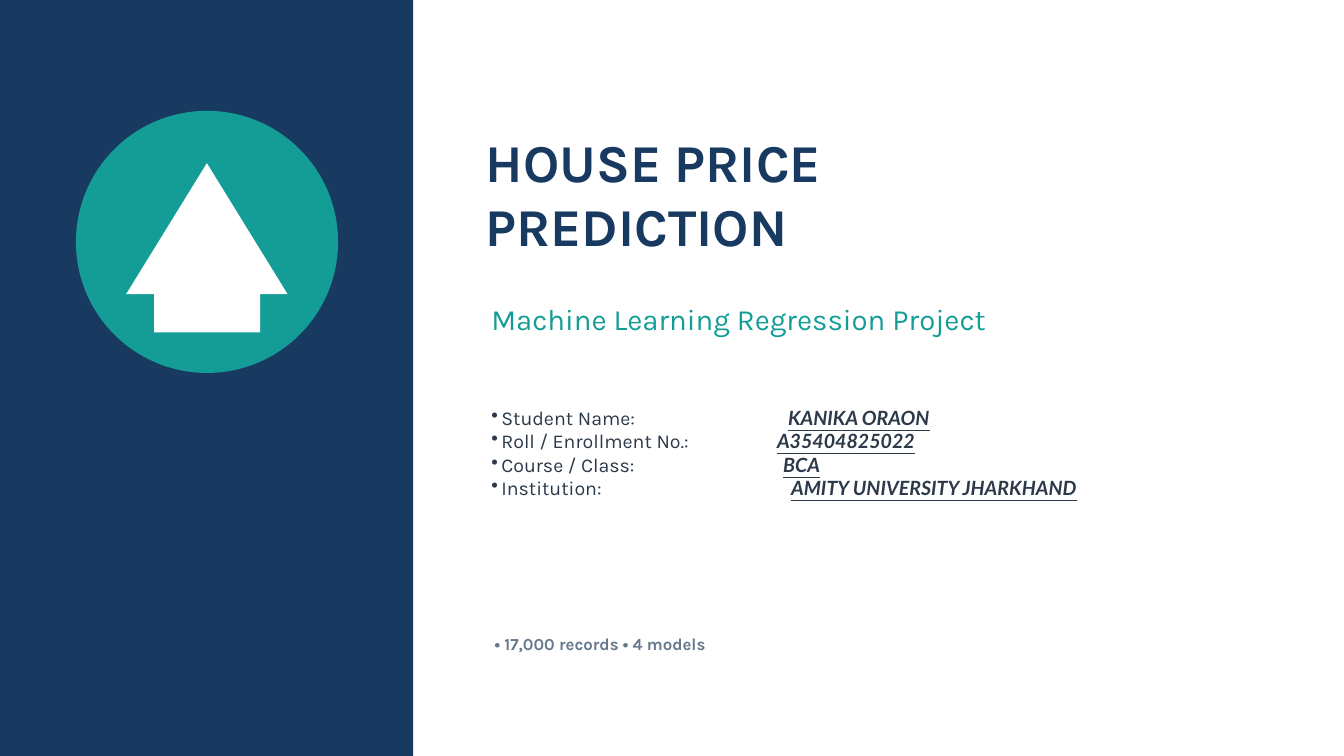
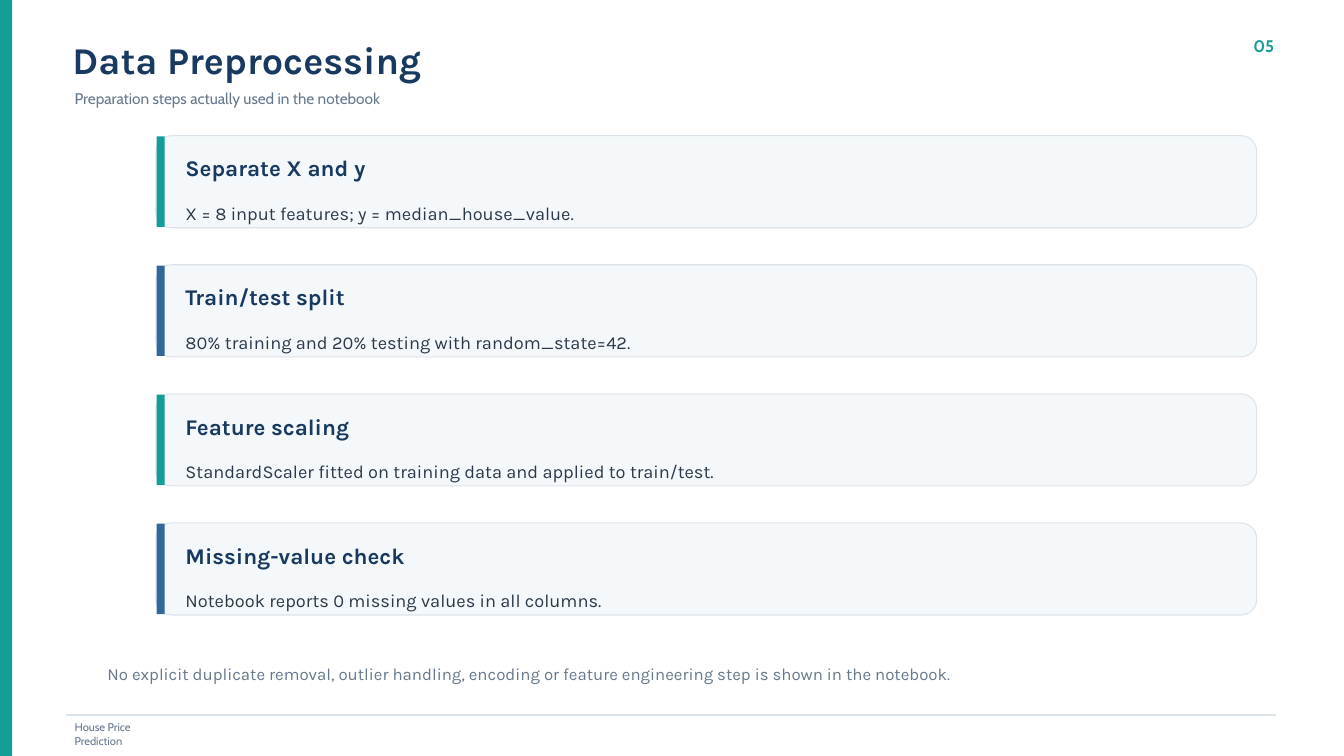
from dataclasses import dataclass

from lxml.etree import SubElement
from pptx import Presentation
from pptx.dml.color import RGBColor
from pptx.enum.shapes import MSO_CONNECTOR, MSO_SHAPE
from pptx.enum.text import MSO_ANCHOR, MSO_AUTO_SIZE, PP_ALIGN
from pptx.oxml.ns import qn
from pptx.util import Cm, Pt

NAVY, TEAL, BLUE = "183960", "149D97", "33679C"
INK, GREY, RULE, PALE, WHITE = "2B3948", "66788C", "DCE4EB", "F4F8FB", "FFFFFF"
WIDTH, HEIGHT = 50.8, 28.58
LEADING = 1.2


@dataclass(frozen=True)
class Style:
    """Describe the look of one kind of text."""
    size: float
    color: str
    bold: bool = False
    font: str = "Karla"


COVER_TITLE = Style(57, NAVY, True)
COVER_SUBTITLE = Style(31.5, TEAL)
DETAIL = Style(21, INK)
RECORDS = Style(18, GREY, True)
TITLE = Style(40.5, NAVY, True)
SUBTITLE = Style(16.5, GREY, font="Cabin")
PAGE_NUMBER = Style(18, TEAL, True, "Cabin")
FOOTER = Style(12, GREY, font="Cabin")
CARD_HEADING = Style(24, NAVY, True)
CARD_BODY = Style(19.5, INK)
NOTE = Style(18, GREY)

DETAILS = [
    ("Student Name:", "KANIKA ORAON", 11.22),
    ("Roll / Enrollment No.:", "A35404825022", 10.8),
    ("Course / Class:", "BCA", 11.03),
    ("Institution:", "AMITY UNIVERSITY JHARKHAND", 11.33),
]
STEPS = [
    ("Separate X and y", "X = 8 input features; y = median_house_value."),
    ("Train/test split", "80% training and 20% testing with random_state=42."),
    ("Feature scaling",
     "StandardScaler fitted on training data and applied to train/test."),
    ("Missing-value check", "Notebook reports 0 missing values in all columns."),
]


def rgb(color):
    """Turn a hex string into a colour."""
    return RGBColor.from_string(color)


def format_run(run, style):
    """Apply a style to one run."""
    run.font.name = style.font
    run.font.size = Pt(style.size)
    run.font.bold = style.bold
    run.font.color.rgb = rgb(style.color)


def format_text(text_frame, style, align=PP_ALIGN.LEFT):
    """Remove the insets and style every paragraph of a frame."""
    text_frame.word_wrap = True
    text_frame.auto_size = MSO_AUTO_SIZE.NONE
    text_frame.vertical_anchor = MSO_ANCHOR.TOP
    text_frame.margin_left = text_frame.margin_right = 0
    text_frame.margin_top = text_frame.margin_bottom = 0
    for paragraph in text_frame.paragraphs:
        paragraph.alignment = align
        paragraph.line_spacing = Pt(style.size * LEADING)
        paragraph.space_before = Pt(0)
        for run in paragraph.runs:
            format_run(run, style)


def add_text(slide, box, text, style, align=PP_ALIGN.LEFT):
    """Add a styled text box at left, top, width, height."""
    text_frame = slide.shapes.add_textbox(*map(Cm, box)).text_frame
    text_frame.text = text
    format_text(text_frame, style, align)
    return text_frame


def set_title(slide, box, text, style):
    """Move, fill and style the title placeholder."""
    title = slide.shapes.title
    title.left, title.top, title.width, title.height = map(Cm, box)
    title.text_frame.text = text
    format_text(title.text_frame, style)


def add_block(slide, kind, box, fill, line=None):
    """Add a flat preset shape."""
    shape = slide.shapes.add_shape(kind, *map(Cm, box))
    shape.shadow.inherit = False
    shape.fill.solid()
    shape.fill.fore_color.rgb = rgb(fill)
    if line:
        shape.line.color.rgb = rgb(line)
        shape.line.width = Pt(1.13)
    else:
        shape.line.fill.background()
    return shape


def add_rule(slide, left, top, width):
    """Add a thin horizontal line."""
    connector = slide.shapes.add_connector(
        MSO_CONNECTOR.STRAIGHT, Cm(left), Cm(top), Cm(left + width), Cm(top))
    connector.line.color.rgb = rgb(RULE)
    connector.line.width = Pt(2.16)
    SubElement(connector._element.spPr, qn("a:effectLst"))


def add_bullet_and_tab(paragraph, indent, tab):
    """Give a paragraph a round bullet and one tab stop."""
    properties = paragraph._p.get_or_add_pPr()
    properties.set("marL", str(Cm(indent)))
    properties.set("indent", str(-Cm(indent)))
    SubElement(properties, qn("a:buChar"), char="•")
    tabs = SubElement(properties, qn("a:tabLst"))
    SubElement(tabs, qn("a:tab"), pos=str(Cm(tab)), algn="l")


def add_house_badge(slide, left, top):
    """Draw a white house on a teal disc."""
    add_block(slide, MSO_SHAPE.OVAL, (left, top, 9.91, 9.91), TEAL)
    add_block(slide, MSO_SHAPE.ISOSCELES_TRIANGLE,
              (left + 1.9, top + 1.98, 6.1, 4.95), WHITE)
    add_block(slide, MSO_SHAPE.RECTANGLE,
              (left + 2.96, top + 5.33, 4, 3.05), WHITE)


def add_details(slide, box):
    """List the student details with underlined values."""
    text_frame = slide.shapes.add_textbox(*map(Cm, box)).text_frame
    text_frame.text = "\n".join(label for label, _, _ in DETAILS)
    for paragraph, (_, _, tab) in zip(text_frame.paragraphs, DETAILS):
        add_bullet_and_tab(paragraph, 0.38, tab)
        paragraph.add_run().text = "\t"
    for paragraph, (_, value, _) in zip(text_frame.paragraphs, DETAILS):
        paragraph.add_run().text = value
    format_text(text_frame, DETAIL)
    for paragraph in text_frame.paragraphs:
        font = paragraph.runs[-1].font
        font.name = "Lato"
        font.bold = font.italic = font.underline = True


def add_card(slide, left, top, heading, body, accent):
    """Add one step card with its accent bar."""
    width, height, pad = 41.61, 3.48, 1.12
    card = add_block(slide, MSO_SHAPE.ROUNDED_RECTANGLE,
                     (left, top, width, height), PALE, RULE)
    card.adjustments[0] = 0.17
    add_block(slide, MSO_SHAPE.RECTANGLE,
              (left + 0.03, top + 0.03, 0.3, height - 0.06), accent)
    text_width = width - 2 * pad
    add_text(slide, (left + pad, top + 0.71, text_width, 1.09),
             heading, CARD_HEADING)
    add_text(slide, (left + pad, top + 2.51, text_width, 0.33),
             body, CARD_BODY)


def add_frame(slide, title, subtitle, number):
    """Add the side strip, heading, page number and footer."""
    add_block(slide, MSO_SHAPE.RECTANGLE, (0, 0, 0.46, HEIGHT), TEAL)
    set_title(slide, (2.74, 1.37, 42.57, 1.63), title, TITLE)
    add_text(slide, (2.82, 3.35, 42.19, 0.97), subtitle, SUBTITLE)
    add_text(slide, (46, 1.35, 2.16, 0.99), number, PAGE_NUMBER,
             PP_ALIGN.RIGHT)
    add_rule(slide, 2.49, 27.04, 45.75)
    add_text(slide, (2.82, 27.25, 3.99, 0.56), "House Price Prediction", FOOTER)


def build_cover(slide):
    """Build the cover slide."""
    left = 18.57
    add_block(slide, MSO_SHAPE.RECTANGLE, (0, 0, 15.62, HEIGHT), NAVY)
    add_house_badge(slide, 2.87, 4.19)
    set_title(slide, (18.36, 4.9, 28.47, 4.52),
              "HOUSE PRICE\nPREDICTION", COVER_TITLE)
    add_text(slide, (left, 11.38, 26.19, 1.65),
             "Machine Learning Regression Project", COVER_SUBTITLE)
    add_details(slide, (left, 15.34, 26.19, 3.53))
    add_text(slide, (left + 0.13, 23.95, 26.95, 0.74),
             "• 17,000 records • 4 models", RECORDS)


def build_preprocessing(slide):
    """Build the slide of preprocessing steps."""
    add_frame(slide, "Data Preprocessing",
              "Preparation steps actually used in the notebook", "05")
    for index, (heading, body) in enumerate(STEPS):
        accent = (TEAL, BLUE)[index % 2]
        add_card(slide, 5.89, 5.13 + index * 4.88, heading, body, accent)
    add_text(slide, (4.06, 25.1, 41.43, 1.09),
             "No explicit duplicate removal, outlier handling, encoding or "
             "feature engineering step is shown in the notebook.", NOTE)


def main():
    """Build and save the presentation."""
    presentation = Presentation()
    presentation.slide_width = Cm(WIDTH)
    presentation.slide_height = Cm(HEIGHT)
    title_only = presentation.slide_layouts[5]
    for build in (build_cover, build_preprocessing):
        build(presentation.slides.add_slide(title_only))
    presentation.save("out.pptx")


if __name__ == "__main__":
    main()
